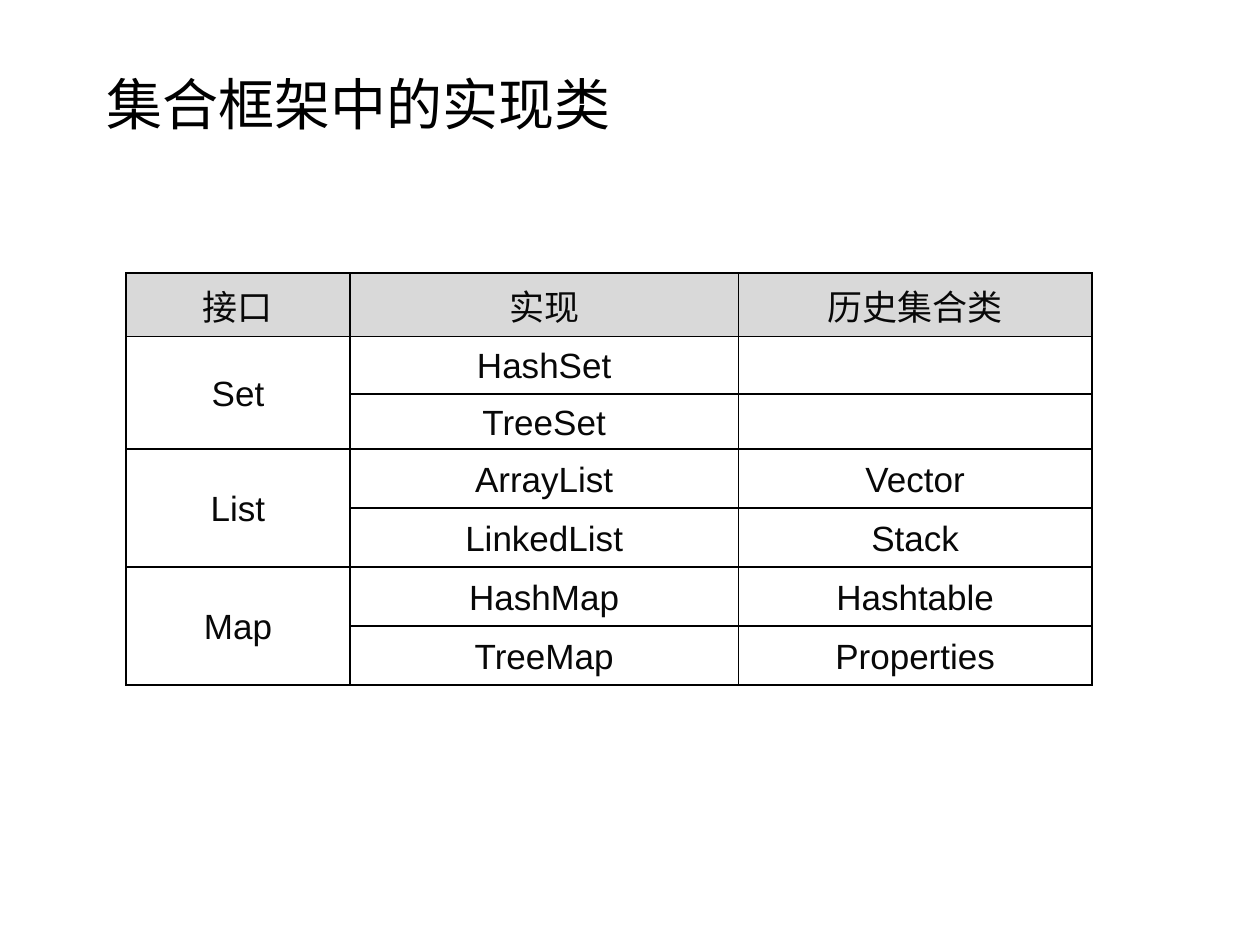
import pptx
import pptx.dml.color
import pptx.enum.shapes
import pptx.enum.text
import pptx.oxml
import pptx.oxml.ns
import pptx.util

Pt = pptx.util.Pt
ALIGN = pptx.enum.text.PP_ALIGN
ANCHOR = pptx.enum.text.MSO_ANCHOR
NAMESPACE = pptx.oxml.ns.nsdecls("a")

HEADERS = ["接口", "实现", "历史集合类"]
# Interface -> pairs of (implementation, historical class)
COLLECTIONS = {
    "Set": [("HashSet", ""), ("TreeSet", "")],
    "List": [("ArrayList", "Vector"), ("LinkedList", "Stack")],
    "Map": [("HashMap", "Hashtable"), ("TreeMap", "Properties")],
}
COLUMN_WIDTHS = [128, 222, 202]
ROW_HEIGHTS = [32, 33, 28] + [33.75] * 4


def color(hex_string):
    return pptx.dml.color.RGBColor.from_string(hex_string)


class SlideBuilder:
    latin_font = "Arial"
    chinese_font = "Noto Sans CJK SC"
    title_color = "000000"
    text_color = "080808"
    border_color = "000000"
    header_fill = "D9D9D9"
    body_fill = "FFFFFF"
    circle_color = "FFFFFF"

    def __init__(self, slide):
        self.slide = slide

    def add_run(self, paragraph, text, size, font_name, hex_string):
        run = paragraph.add_run()
        run.text = text
        run.font.size = Pt(size)
        run.font.name = font_name
        run.font.color.rgb = color(hex_string)
        run.font._element.find(pptx.oxml.ns.qn("a:latin")).addnext(
            pptx.oxml.parse_xml(f'<a:ea {NAMESPACE} typeface="{self.chinese_font}"/>'))

    def circle(self, left, top, size, opacity):
        shape = self.slide.shapes.add_shape(
            pptx.enum.shapes.MSO_SHAPE.OVAL, Pt(left), Pt(top), Pt(size), Pt(size))
        shape.shadow.inherit = False
        shape.fill.solid()
        shape.fill.fore_color.rgb = color(self.circle_color)
        shape.line.color.rgb = color(self.circle_color)
        shape.line.width = Pt(0.75)
        fill_color = shape._element.spPr.find(
            f"{pptx.oxml.ns.qn('a:solidFill')}/{pptx.oxml.ns.qn('a:srgbClr')}")
        fill_color.append(pptx.oxml.parse_xml(
            f'<a:alpha {NAMESPACE} val="{opacity * 1000}"/>'))

    def title(self, text, left, top, width, height):
        shape = self.slide.shapes.title
        shape.left, shape.top = Pt(left), Pt(top)
        shape.width, shape.height = Pt(width), Pt(height)
        shape.text_frame.vertical_anchor = ANCHOR.MIDDLE
        paragraph = shape.text_frame.paragraphs[0]
        paragraph.alignment = ALIGN.LEFT
        self.add_run(paragraph, text, 32, self.chinese_font, self.title_color)

    def table(self, left, top, column_widths, row_heights):
        frame = self.slide.shapes.add_table(
            len(row_heights), len(column_widths), Pt(left), Pt(top),
            Pt(sum(column_widths)), Pt(sum(row_heights)))
        table = frame.table
        table.first_row = table.horz_banding = False
        for column, width in zip(table.columns, column_widths):
            column.width = Pt(width)
        for row, height in zip(table.rows, row_heights):
            row.height = Pt(height)
        for cell in table.iter_cells():
            self.borders(cell)
            self.fill(cell, self.body_fill)
        return table

    def borders(self, cell):
        properties = cell._tc.get_or_add_tcPr()
        for side in ("lnL", "lnR", "lnT", "lnB"):
            properties.append(pptx.oxml.parse_xml(
                f'<a:{side} {NAMESPACE} w="{Pt(1)}"><a:solidFill>'
                f'<a:srgbClr val="{self.border_color}"/></a:solidFill></a:{side}>'))

    def fill(self, cell, hex_string):
        cell.fill.solid()
        cell.fill.fore_color.rgb = color(hex_string)

    def cell_text(self, cell, text, line_spacing=None):
        if not text:
            return
        cell.vertical_anchor = ANCHOR.MIDDLE
        paragraph = cell.text_frame.paragraphs[0]
        paragraph.alignment = ALIGN.CENTER
        # Hanging indent
        properties = paragraph._p.get_or_add_pPr()
        properties.set("marL", str(Pt(27)))
        properties.set("indent", str(Pt(-27)))
        if line_spacing:
            paragraph.line_spacing = Pt(line_spacing)
        self.add_run(paragraph, text, 20, self.latin_font, self.text_color)


def main():
    presentation = pptx.Presentation()
    presentation.slide_width, presentation.slide_height = Pt(720), Pt(540)
    title_only = presentation.slide_layouts[5]
    builder = SlideBuilder(presentation.slides.add_slide(title_only))

    # Translucent corner circle and title
    builder.circle(553, 37.5, 130, 63)
    builder.title("集合框架中的实现类", 53.75, 32, 414, 54)

    # Header row
    table = builder.table(72, 156, COLUMN_WIDTHS, ROW_HEIGHTS)
    for column, text in enumerate(HEADERS):
        builder.fill(table.cell(0, column), builder.header_fill)
        builder.cell_text(table.cell(0, column), text)

    # One merged interface cell beside its classes
    row = 1
    for interface, classes in COLLECTIONS.items():
        table.cell(row, 0).merge(table.cell(row + len(classes) - 1, 0))
        builder.cell_text(table.cell(row, 0), interface, 24)
        for names in classes:
            for column, name in enumerate(names, start=1):
                builder.cell_text(table.cell(row, column), name, 24)
            row += 1

    presentation.save("out.pptx")


if __name__ == "__main__":
    main()
